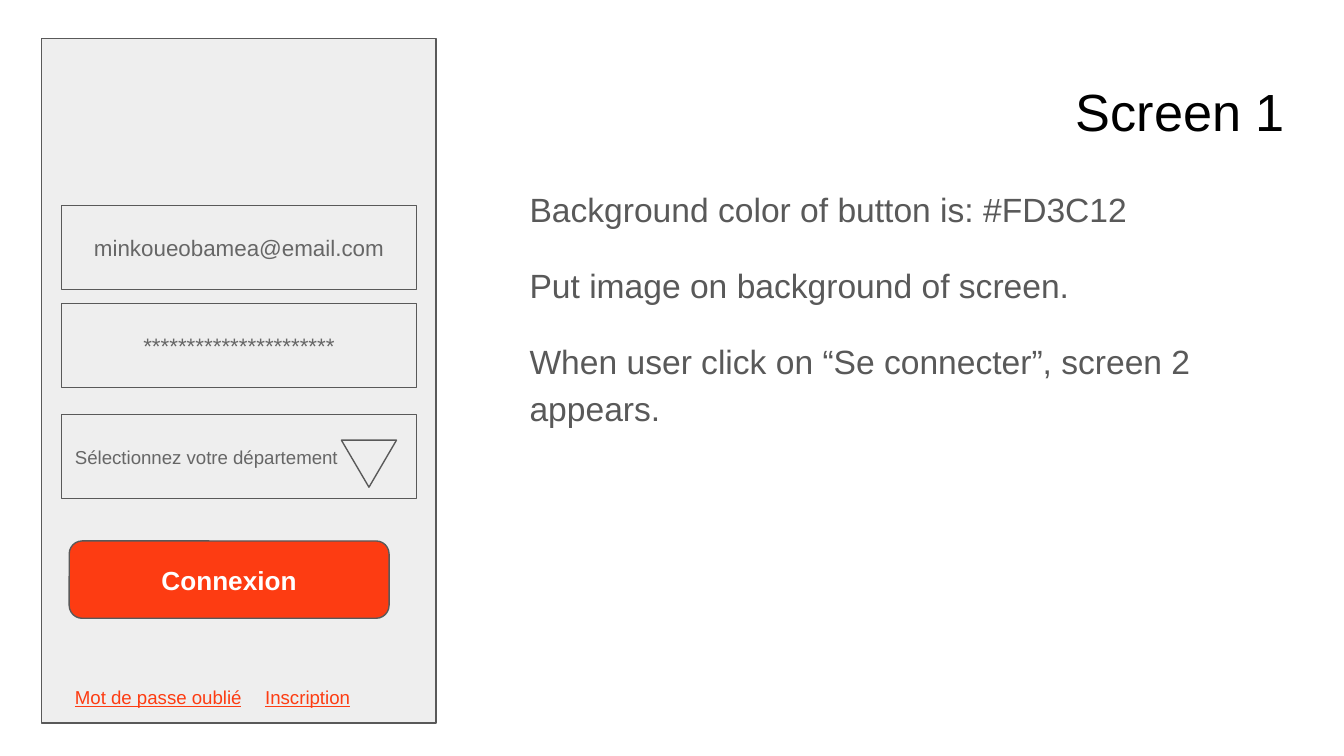
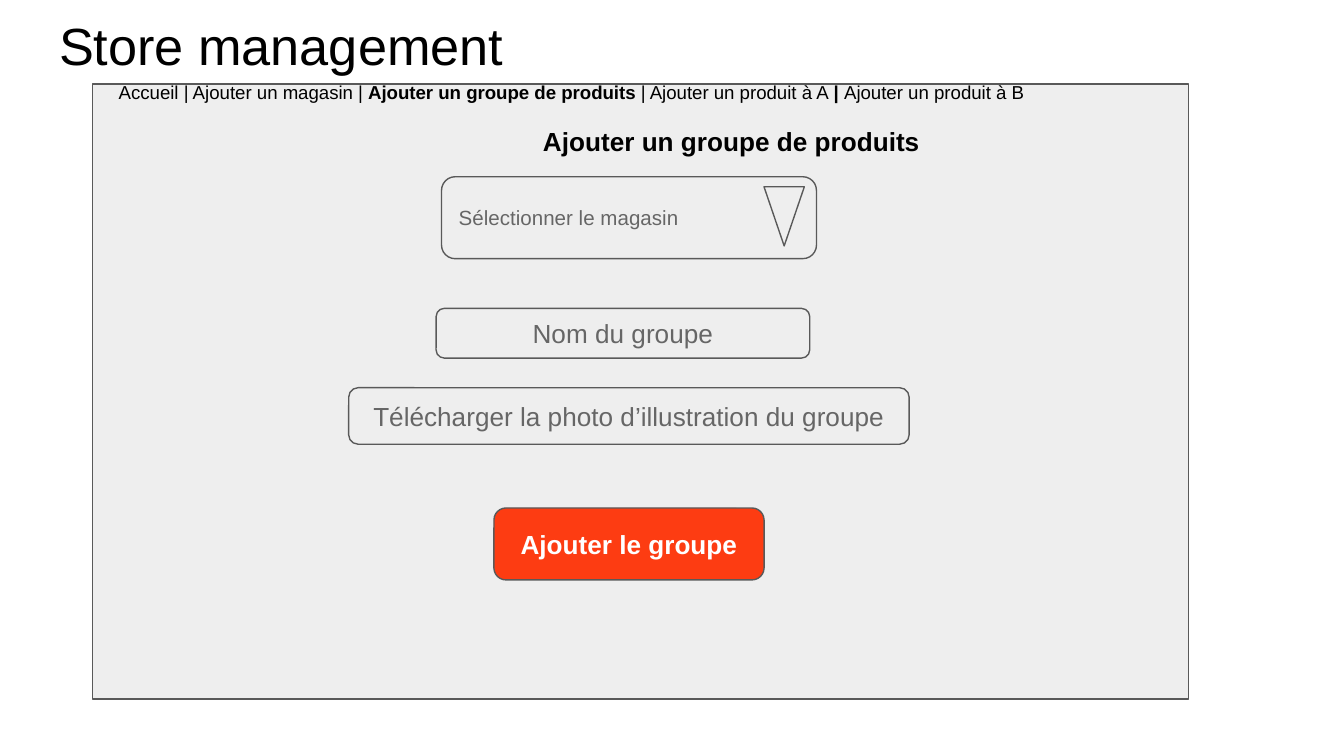
import dataclasses

import pptx
import pptx.dml.color
import pptx.enum.shapes
import pptx.enum.text
import pptx.oxml.ns
import pptx.util
from lxml import etree

SHAPE = pptx.enum.shapes.MSO_SHAPE
ALIGN = pptx.enum.text.PP_ALIGN
ANCHOR = pptx.enum.text.MSO_ANCHOR
SCALE = 4572


@dataclasses.dataclass(frozen=True)
class Theme:
    face: str = "Arial"
    ink: str = "000000"
    body: str = "595959"
    hint: str = "666666"
    panel: str = "EEEEEE"
    accent: str = "FD3C12"
    white: str = "FFFFFF"
    title: int = 28
    text: int = 18
    label: int = 14
    field: int = 12
    pick: int = 11
    small: int = 10
    line: float = 0.75


THEME = Theme()


def px(count):
    return pptx.util.Emu(count * SCALE)


def shift(box, left, top, width, height):
    return box[0] + left, box[1] + top, width, height


def color(code):
    return pptx.dml.color.RGBColor.from_string(code)


def style(para, size, code, align=ALIGN.LEFT, bold=None):
    para.alignment = align
    para.font.name = THEME.face
    para.font.size = pptx.util.Pt(size)
    para.font.color.rgb = color(code)
    para.font.bold = bold


def frame(shape, anchor):
    area = shape.text_frame
    area.word_wrap = True
    area.auto_size = pptx.enum.text.MSO_AUTO_SIZE.NONE
    area.vertical_anchor = anchor
    area.margin_left = area.margin_right = px(20)
    area.margin_top = area.margin_bottom = px(20)
    return area


def place(shape, box):
    shape.left, shape.top, shape.width, shape.height = map(px, box)


def draw(shapes, kind, box, fill=THEME.panel):
    shape = shapes.add_shape(kind, *map(px, box))
    shape.shadow.inherit = False
    shape.fill.solid()
    shape.fill.fore_color.rgb = color(fill)
    shape.line.color.rgb = color(THEME.body)
    shape.line.width = pptx.util.Pt(THEME.line)
    return shape


def field(shapes, kind, box, text, size, align=ALIGN.CENTER):
    para = frame(draw(shapes, kind, box), ANCHOR.MIDDLE).paragraphs[0]
    para.text = text
    style(para, size, THEME.hint, align)


def button(shapes, box, text):
    shape = draw(shapes, SHAPE.ROUNDED_RECTANGLE, box, THEME.accent)
    para = frame(shape, ANCHOR.MIDDLE).paragraphs[0]
    para.text = text
    style(para, THEME.label, THEME.white, ALIGN.CENTER, True)


def label(shapes, box, anchor):
    return frame(shapes.add_textbox(*map(px, box)), anchor).paragraphs[0]


def title(slide, box, text, align=ALIGN.LEFT):
    place(slide.shapes.title, box)
    para = frame(slide.shapes.title, ANCHOR.TOP).paragraphs[0]
    para.text = text
    style(para, THEME.title, THEME.ink, align)


def notes(slide, box, lines):
    holder = slide.placeholders[1]
    place(holder, box)
    area = frame(holder, ANCHOR.TOP)
    for index, line in enumerate(lines):
        para = area.add_paragraph() if index else area.paragraphs[0]
        para.text = line
        style(para, THEME.text, THEME.body)
        para.line_spacing = 1.15
        para.space_before = pptx.util.Pt(16 if index else 0)
        props = para._p.get_or_add_pPr()
        props.set("marL", "0")
        props.set("indent", "0")
        mark = etree.Element(pptx.oxml.ns.qn("a:buNone"))
        props.find(pptx.oxml.ns.qn("a:defRPr")).addprevious(mark)
    para.space_after = pptx.util.Pt(16)


def login(slide, box):
    shapes = slide.shapes
    draw(shapes, SHAPE.RECTANGLE, box)
    rows = [
        (249, "minkoueobamea@email.com", THEME.field, ALIGN.CENTER),
        (395, "*" * 22, THEME.field, ALIGN.CENTER),
        (560, "Sélectionnez votre département", THEME.small, ALIGN.LEFT),
    ]
    for top, text, size, align in rows:
        spot = shift(box, 30, top, 528, 125)
        field(shapes, SHAPE.RECTANGLE, spot, text, size, align)
    arrow = draw(shapes, SHAPE.ISOSCELES_TRIANGLE, shift(box, 446, 598, 82, 70))
    arrow.rotation = 180
    button(shapes, shift(box, 41, 748, 476, 115), "Connexion")
    for left, text in [(30, "Mot de passe oublié"), (313, "Inscription")]:
        para = label(shapes, shift(box, left, 943, 394, 42), ANCHOR.TOP)
        para.text = text
        style(para, THEME.small, THEME.accent)
        para.font.underline = True


def menu(slide, box):
    para = label(slide.shapes, box, ANCHOR.MIDDLE)
    style(para, THEME.small, THEME.ink)
    parts = [
        ("Accueil | Ajouter un magasin | ", False),
        ("Ajouter un groupe de produits", True),
        (" | Ajouter un produit à A", False),
        (" | ", True),
        ("Ajouter un produit à B", False),
    ]
    for text, bold in parts:
        run = para.add_run()
        run.text = text
        run.font.bold = bold


def picker(slide, box):
    shapes = slide.shapes.add_group_shape().shapes
    field(shapes, SHAPE.ROUNDED_RECTANGLE, box, "Sélectionner le magasin",
          THEME.pick, ALIGN.LEFT)
    draw(shapes, SHAPE.FLOWCHART_MERGE, shift(box, 480, 15, 60, 88))


def store(slide, box):
    shapes = slide.shapes
    draw(shapes, SHAPE.RECTANGLE, box)
    menu(slide, shift(box, 19, -9, 1592, 42))
    head = label(shapes, shift(box, 458, 56, 996, 58), ANCHOR.MIDDLE)
    head.text = "Ajouter un groupe de produits "
    style(head, THEME.label, THEME.ink, ALIGN.CENTER, True)
    rows = [
        ((511, 334, 556, 74), "Nom du groupe"),
        ((381, 452, 834, 84), "Télécharger la photo d’illustration du groupe"),
    ]
    for spot, text in rows:
        field(shapes, SHAPE.ROUNDED_RECTANGLE, shift(box, *spot), text,
              THEME.label)
    button(shapes, shift(box, 597, 631, 402, 107), "Ajouter le groupe")
    picker(slide, shift(box, 519, 138, 558, 122))


def main():
    deck = pptx.Presentation()
    deck.slide_width, deck.slide_height = px(2000), px(1125)

    first = deck.slides.add_slide(deck.slide_layouts[1])
    title(first, (68, 98, 1864, 126), "Screen 1", ALIGN.RIGHT)
    notes(first, (768, 252, 1164, 748), [
        "Background color of button is: #FD3C12",
        "Put image on background of screen.",
        "When user click on “Se connecter”, screen 2 appears.",
    ])
    login(first, (62, 57, 587, 1019))

    second = deck.slides.add_slide(deck.slide_layouts[5])
    title(second, (68, 0, 1864, 126), "Store management")
    store(second, (138, 125, 1631, 915))

    deck.save("out.pptx")


if __name__ == "__main__":
    main()
